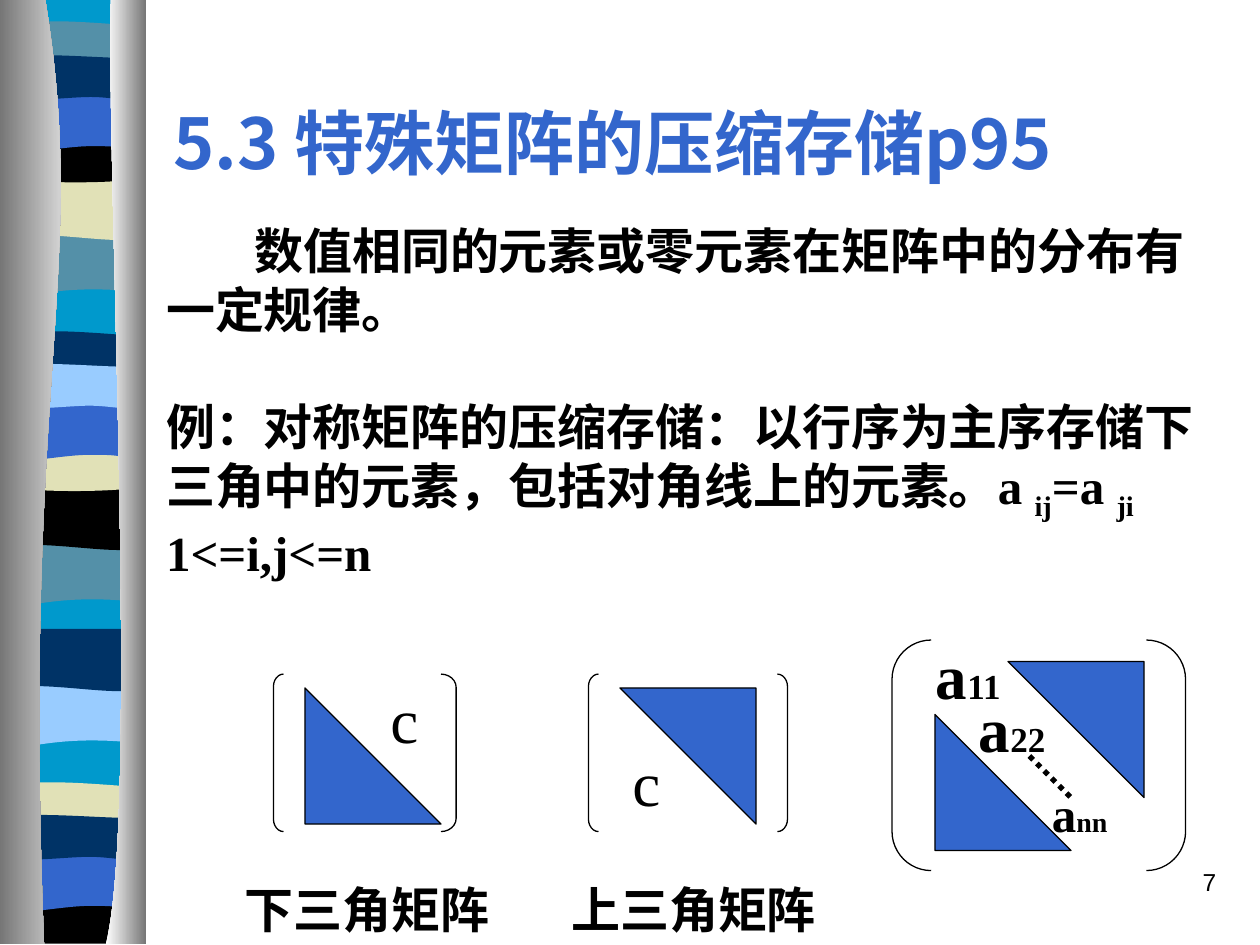
import dataclasses

import pptx
import pptx.dml.color
import pptx.enum.dml
import pptx.enum.shapes
import pptx.enum.text
import pptx.oxml
import pptx.oxml.ns
import pptx.util

Inches = pptx.util.Inches
Pt = pptx.util.Pt
SHAPE = pptx.enum.shapes.MSO_SHAPE
ALIGN = pptx.enum.text.PP_ALIGN
ANCHOR = pptx.enum.text.MSO_ANCHOR


@dataclasses.dataclass(frozen=True)
class Theme:
    blue: str = "3366CC"
    black: str = "000000"
    teal: str = "5490A8"
    cream: str = "E1E1B7"
    navy: str = "003366"
    sky: str = "99CCFF"
    cyan: str = "0099CC"
    grey: str = "767676"
    white: str = "FFFFFF"
    serif: str = "Times New Roman"
    sans: str = "Arial"
    heading: str = "Noto Sans CJK SC"
    title_size: int = 40
    letter_size: int = 36
    body_size: int = 28
    index_size: int = 20
    small_index_size: int = 16
    number_size: int = 14


THEME = Theme()
BAND_WIDTH = 1.08
UNITS_PER_INCH = 1000

# Edge profiles: cubic segments of (x, y) offsets from the band's left end.
FLAT = []
SWELL = [[(0.07, -0.05), (0.23, -0.04), (0.41, -0.04)], [(0.59, -0.04), (0.94, -0.01), (1.08, 0)]]
DIP = [[(0.66, 0.05), (0.85, 0), (1.08, 0)]]
LIFT = [[(0.15, -0.05), (0.73, 0), (0.91, 0)], [(1.09, 0), (1.04, 0), (1.08, 0)]]
WAVE = [[(0.18, 0.08), (0.33, -0.08), (1.08, 0)]]
ROLL = [[(0.33, -0.06), (0.9, 0.08), (1.08, 0)]]
SAG = [[(0.18, 0.05), (0.9, 0.05), (1.08, 0)]]
ARCH = [[(0.16, 0), (0.48, -0.06), (0.66, -0.06)], [(0.84, -0.06), (0.91, -0.06), (1.08, 0)]]
RIPPLE = [[(0.11, 0.05), (0.48, 0), (0.66, 0)], [(0.84, 0), (1.01, 0.05), (1.08, 0)]]

# left, top, bottom, top edge, bottom edge, colour
BANDS = [
    (0.06, 0, 7.47, FLAT, FLAT, THEME.cyan),
    (0.06, 1.85, 2.32, FLAT, WAVE, THEME.teal),
    (0.06, 1.41, 1.88, FLAT, ROLL, THEME.cream),
    (0.06, 0.21, 0.45, SWELL, SAG, THEME.teal),
    (0.06, 1.08, 1.41, DIP, SAG, THEME.black),
    (0.06, 0.74, 1.22, FLAT, ARCH, THEME.blue),
    (0.06, 0.46, 0.77, LIFT, RIPPLE, THEME.navy),
    (0.05, 4.31, 4.78, FLAT, WAVE, THEME.teal),
    (0.05, 3.87, 4.34, FLAT, ROLL, THEME.black),
    (0.05, 2.67, 2.91, SWELL, SAG, THEME.navy),
    (0.05, 3.53, 3.86, DIP, SAG, THEME.cream),
    (0.05, 3.2, 3.67, FLAT, ARCH, THEME.blue),
    (0.05, 2.91, 3.22, LIFT, RIPPLE, THEME.sky),
    (0.05, 5.44, 5.9, FLAT, WAVE, THEME.sky),
    (0.05, 4.99, 5.46, FLAT, ROLL, THEME.navy),
    (0.05, 6.25, 6.49, SWELL, SAG, THEME.cream),
    (0.05, 7.12, 7.49, DIP, FLAT, THEME.black),
    (0.05, 6.78, 7.25, FLAT, ARCH, THEME.blue),
    (0.05, 6.49, 6.8, LIFT, RIPPLE, THEME.navy),
]


def rgb(value):
    return pptx.dml.color.RGBColor.from_string(value)


def add_outline(slide, start, segments):
    """Add a closed outline; a segment is one point (line) or three (cubic curve)."""
    def units(point):
        return tuple(round(value * UNITS_PER_INCH) for value in point)

    builder = slide.shapes.build_freeform(*units(start), scale=Inches(1) / UNITS_PER_INCH)
    builder.add_line_segments([units(point) for segment in segments for point in segment], close=True)
    shape = builder.convert_to_shape()
    qn = pptx.oxml.ns.qn
    lines = iter(list(shape._element.iter(qn("a:lnTo"))))
    for segment in segments:
        corners = [next(lines) for _ in segment]
        if len(corners) == 3:
            curve = pptx.oxml.parse_xml(f'<a:cubicBezTo {pptx.oxml.ns.nsdecls("a")}/>')
            corners[0].addprevious(curve)
            for corner in corners:
                curve.append(corner[0])
                corner.getparent().remove(corner)
    shape.shadow.inherit = False
    shape.line.fill.background()
    return shape


def add_band(slide, left, top, bottom, top_edge, bottom_edge, color):
    right = left + BAND_WIDTH
    upper = [[(left + x, top + y) for x, y in segment] for segment in top_edge]
    lower = []
    for index in range(len(bottom_edge) - 1, -1, -1):
        first, second, _ = bottom_edge[index]
        end = bottom_edge[index - 1][2] if index else (0, 0)
        lower.append([(left + x, bottom + y) for x, y in (second, first, end)])
    segments = (upper or [[(right, top)]]) + [[(right, bottom)]] + (lower or [[(left, bottom)]])
    shape = add_outline(slide, (left, top), segments)
    shape.fill.solid()
    shape.fill.fore_color.rgb = rgb(color)


def add_curtain(slide, start, curve, outer_x, colors):
    """Add a side fold shaded from left to right."""
    shape = add_outline(slide, start, [curve, [(outer_x, 7.49)], [(outer_x, 0)]])
    shape.fill.gradient()
    shape.fill.gradient_angle = 0
    for stop, color in zip(shape.fill.gradient_stops, colors):
        stop.color.rgb = rgb(color)


def add_shape(slide, kind, left, top, width, height, fill=None, rotation=0, adjustment=None):
    shape = slide.shapes.add_shape(kind, *map(Inches, (left, top, width, height)))
    shape.shadow.inherit = False
    shape.rotation = rotation
    if adjustment is not None:
        shape.adjustments[0] = adjustment
    if fill:
        shape.fill.solid()
        shape.fill.fore_color.rgb = rgb(fill)
    else:
        shape.fill.background()
    shape.line.color.rgb = rgb(THEME.black)
    shape.line.width = Pt(0.75)


def add_triangle(slide, left, top, rotation=0):
    add_shape(slide, SHAPE.RIGHT_TRIANGLE, left, top, 1.08, 1.08, THEME.blue, rotation)


def add_run(paragraph, text, size, font=THEME.serif, color=THEME.black, bold=True, baseline=0):
    run = paragraph.add_run()
    run.text = text
    for name, value in {"size": Pt(size), "name": font, "bold": bold}.items():
        setattr(run.font, name, value)
    run.font.color.rgb = rgb(color)
    properties = run.font._element
    if font == THEME.heading:
        east_asian = pptx.oxml.parse_xml(f'<a:ea {pptx.oxml.ns.nsdecls("a")} typeface="{font}"/>')
        properties.find(pptx.oxml.ns.qn("a:latin")).addnext(east_asian)
    if baseline:
        properties.set("baseline", str(baseline * 1000))


def add_text(slide, box, runs, align=ALIGN.LEFT, anchor=ANCHOR.TOP, wrap=True, **style):
    """Add a text box; runs is a list of (text, size) pairs."""
    frame = slide.shapes.add_textbox(*map(Inches, box)).text_frame
    for name, value in {"word_wrap": wrap, "vertical_anchor": anchor}.items():
        setattr(frame, name, value)
    paragraph = frame.paragraphs[0]
    paragraph.alignment = align
    for text, size in runs:
        add_run(paragraph, text, size, **style)
    return frame


def add_body(slide):
    size = THEME.body_size
    frame = add_text(slide, (1.22, 1.7, 8.51, 2.97), [("数值相同的元素或零元素在矩阵中的分布有一定规律。", size)])
    frame.paragraphs[0]._p.get_or_add_pPr().set("indent", str(Inches(0.7)))
    example = frame.add_paragraph()
    example.space_before = Pt(33.5)
    add_run(example, "例：对称矩阵的压缩存储：以行序为主序存储下三角中的元素，包括对角线上的元素。a ", size)
    add_run(example, "ij", size, baseline=-25)
    add_run(example, "=a ", size)
    add_run(example, "ji", size, baseline=-25)
    example.add_line_break()
    add_run(example, "1<=i,j<=n", size)


def add_triangular_matrix(slide, left, caption_left, caption, rotation, letter_at, right_bracket):
    bracket_left, bracket_width, bend = right_bracket
    add_triangle(slide, left + 0.25, 5.46, rotation)
    add_text(slide, (*letter_at, 0.67, 0.7), [("c", THEME.letter_size)], bold=False)
    add_shape(slide, SHAPE.LEFT_BRACKET, left, 5.35, 0.08, 1.25, adjustment=1.25)
    add_shape(slide, SHAPE.RIGHT_BRACKET, bracket_left, 5.35, bracket_width, 1.25, adjustment=bend)
    add_text(slide, (caption_left, 6.93, 2.67, 0.57), [(caption, THEME.body_size)], ALIGN.CENTER)


def add_symmetric_matrix(slide):
    add_triangle(slide, 7.42, 5.67)
    add_triangle(slide, 8, 5.25, 180)
    for left, top, index in ((7.33, 5, "11"), (7.67, 5.42, "22")):
        runs = [("a", THEME.letter_size), (index, THEME.index_size)]
        add_text(slide, (left, top, 0.73, 0.7), runs, wrap=False)
    add_text(slide, (8.25, 6.17, 1.08, 0.57), [("a", THEME.body_size), ("nn", THEME.small_index_size)])
    dots = slide.shapes.add_connector(
        pptx.enum.shapes.MSO_CONNECTOR.STRAIGHT, *map(Inches, (8.17, 6, 8.5, 6.33)))
    dots.line.color.rgb = rgb(THEME.black)
    dots.line.width = Pt(3)
    dots.line.dash_style = pptx.enum.dml.MSO_LINE.ROUND_DOT
    dots._element.spPr.append(pptx.oxml.parse_xml(f'<a:effectLst {pptx.oxml.ns.nsdecls("a")}/>'))
    add_shape(slide, SHAPE.DOUBLE_BRACKET, 7.08, 5.08, 2.33, 1.83, adjustment=0.17)


def main():
    presentation = pptx.Presentation()
    presentation.slide_width, presentation.slide_height = Inches(10), Inches(7.5)
    slide = presentation.slides.add_slide(presentation.slide_layouts[6])
    for band in BANDS:
        add_band(slide, *band)
    add_curtain(slide, (0.36, 0), [(0.71, 2.16), (0.17, 2.96), (0.35, 7.49)], 0, (THEME.grey, THEME.white))
    add_curtain(slide, (0.88, 0), [(0.84, 1.25), (1.11, 6.46), (0.84, 7.49)], 1.16, (THEME.white, THEME.grey))
    add_text(slide, (7.67, 6.83, 2.08, 0.5), [("7", THEME.number_size)], ALIGN.RIGHT,
             font=THEME.sans, bold=False)
    add_text(slide, (1.28, 0.5, 8.5, 1.25), [("5.3 特殊矩阵的压缩存储p95", THEME.title_size)],
             anchor=ANCHOR.MIDDLE, font=THEME.heading, color=THEME.blue)
    add_triangular_matrix(slide, 2.17, 1.58, "下三角矩阵", 0, (3, 5.35), (3.5, 0.12, 0.87))
    add_triangular_matrix(slide, 4.67, 4.17, "上三角矩阵", 180, (4.92, 5.85), (6.17, 0.08, 1.25))
    add_symmetric_matrix(slide)
    add_body(slide)
    presentation.save("out.pptx")


if __name__ == "__main__":
    main()
